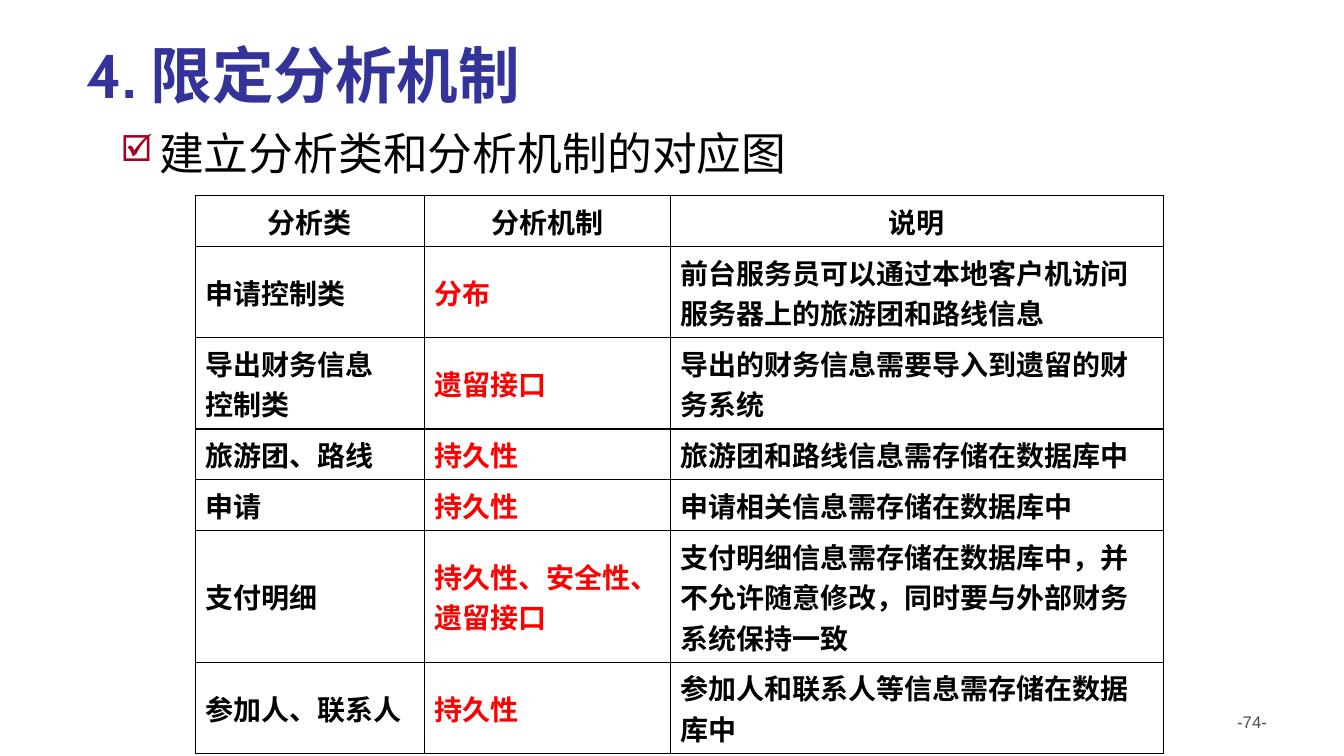
"""Builds the slide that maps analysis classes to analysis mechanisms."""
from lxml import etree
from pptx import Presentation
from pptx.dml.color import RGBColor
from pptx.enum.text import MSO_ANCHOR, PP_ALIGN
from pptx.oxml.ns import qn
from pptx.util import Cm, Pt

LEFT, CENTER, RIGHT = PP_ALIGN.LEFT, PP_ALIGN.CENTER, PP_ALIGN.RIGHT
TOP, MIDDLE, BOTTOM = MSO_ANCHOR.TOP, MSO_ANCHOR.MIDDLE, MSO_ANCHOR.BOTTOM

COLORS = {"title": "333399", "text": "000000", "mechanism": "FF0000",
          "bullet": "A50021", "number": "4D4D4D", "border": "000000"}

TITLE = "4. 限定分析机制"
SUBTITLE = "建立分析类和分析机制的对应图"
PAGE_NUMBER = "-74-"

HEADER = ("分析类", "分析机制", "说明")
MAPPINGS = [
    ("申请控制类", "分布", "前台服务员可以通过本地客户机访问服务器上的旅游团和路线信息"),
    ("导出财务信息\n控制类", "遗留接口", "导出的财务信息需要导入到遗留的财务系统"),
    ("旅游团、路线", "持久性", "旅游团和路线信息需存储在数据库中"),
    ("申请", "持久性", "申请相关信息需存储在数据库中"),
    ("支付明细", "持久性、安全性、遗留接口",
     "支付明细信息需存储在数据库中，并不允许随意修改，同时要与外部财务系统保持一致"),
    ("参加人、联系人", "持久性", "参加人和联系人等信息需存储在数据库中"),
]
COLUMN_WIDTHS = (5.77, 6.2, 12.44)
LINES_PER_ROW = (1, 2, 2, 1, 1, 3, 2)
FIRST_LINE, NEXT_LINE = 1.28, 1.02


def write(p, text, font, size, color, bold=False, align=LEFT):
    p.text = text
    p.alignment = align
    for r in p.runs:
        r.font.name = font
        r.font.size = Pt(size)
        r.font.bold = bold
        r.font.color.rgb = RGBColor.from_string(COLORS[color])


def add_text(slide, box, anchor, *style, **options):
    tf = slide.shapes.add_textbox(*map(Cm, box)).text_frame
    tf.word_wrap = True
    tf.vertical_anchor = anchor
    p = tf.paragraphs[0]
    write(p, *style, **options)
    return p


def add_bullet(p, char, font, color, percent, indent):
    pPr = p._p.get_or_add_pPr()
    pPr.set("marL", str(indent))
    pPr.set("indent", str(-indent))
    bu = etree.SubElement(pPr, qn("a:buClr"))
    etree.SubElement(bu, qn("a:srgbClr"), val=COLORS[color])
    etree.SubElement(pPr, qn("a:buSzPct"), val=str(percent * 1000))
    etree.SubElement(pPr, qn("a:buFont"), typeface=font, charset="2")
    etree.SubElement(pPr, qn("a:buChar"), char=char)


def add_borders(cell):
    tcPr = cell._tc.get_or_add_tcPr()
    for i, side in enumerate(("lnL", "lnR", "lnT", "lnB")):
        ln = etree.Element(qn(f"a:{side}"), w=str(Pt(1)))
        fill = etree.SubElement(ln, qn("a:solidFill"))
        etree.SubElement(fill, qn("a:srgbClr"), val=COLORS["border"])
        tcPr.insert(i, ln)


def add_mapping_table(slide):
    rows = [HEADER] + MAPPINGS
    heights = [FIRST_LINE + NEXT_LINE * (n - 1) for n in LINES_PER_ROW]
    table = slide.shapes.add_table(
        len(rows), len(HEADER), Cm(4.92), Cm(4.93),
        Cm(sum(COLUMN_WIDTHS)), Cm(sum(heights))).table
    table.first_row = table.horz_banding = False
    for column, width in zip(table.columns, COLUMN_WIDTHS):
        column.width = Cm(width)
    for i, (texts, height) in enumerate(zip(rows, heights)):
        table.rows[i].height = Cm(height)
        for j, text in enumerate(texts):
            cell = table.cell(i, j)
            cell.fill.background()
            cell.vertical_anchor = MIDDLE if i else TOP
            color = "mechanism" if i and j == 1 else "text"
            write(cell.text_frame.paragraphs[0], text, "Times New Roman", 20,
                  color, bold=True, align=LEFT if i else CENTER)
            add_borders(cell)


def main():
    prs = Presentation()
    prs.slide_width, prs.slide_height = Cm(33.87), Cm(19.05)
    slide = prs.slides.add_slide(prs.slide_layouts[6])
    add_text(slide, (24.28, 17.81, 7.9, 1.32), TOP,
             PAGE_NUMBER, "Arial", 12, "number", align=RIGHT)
    add_text(slide, (1.93, 1.12, 29.39, 1.8), BOTTOM,
             TITLE, "Cabin", 44, "title", bold=True)
    p = add_text(slide, (2.79, 3.05, 29.34, 7.29), TOP,
                 SUBTITLE, "Cabin", 32, "text")
    add_bullet(p, "þ", "Wingdings", "bullet", 80, Cm(0.97))
    add_mapping_table(slide)
    prs.save("out.pptx")


if __name__ == "__main__":
    main()
